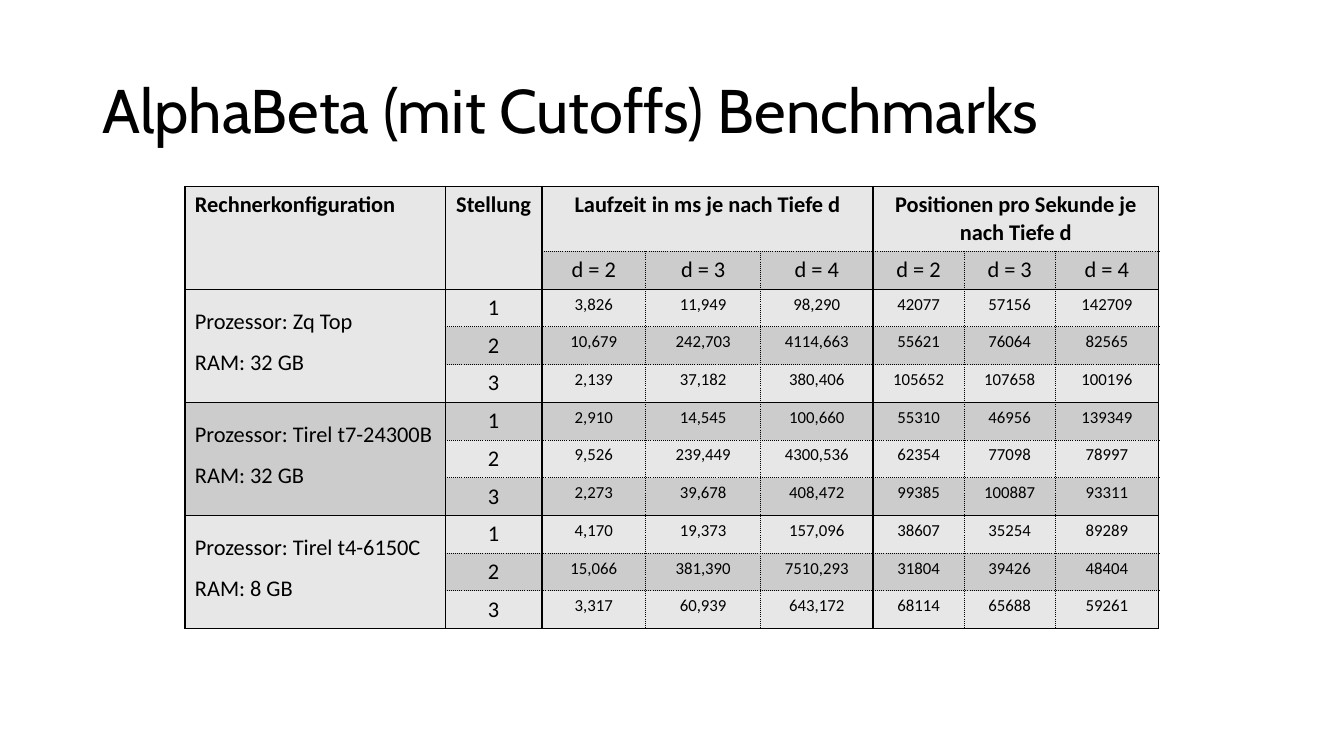
import lxml.etree
import pptx
import pptx.dml.color
import pptx.enum.text
import pptx.oxml.ns
import pptx.util

Cm = pptx.util.Cm
ALIGN = pptx.enum.text.PP_ALIGN

BLACK, LIGHT, DARK = "000000", "E7E7E7", "CCCCCC"
COLUMN_WIDTHS = [6.56, 2.44, 2.61, 2.9, 2.83, 2.3, 2.29, 2.61]
HEADER_HEIGHT, ROW_HEIGHT = 1.63, 0.95
SOLID_COLUMNS = {0, 1, 2, 5, 8}
SOLID_ROWS = {0, 2, 5, 8, 11}
DEPTHS = ["d = 2", "d = 3", "d = 4"]
BENCHMARKS = [
    ("Prozessor: Zq Top\nRAM: 32 GB", [
        ["3,826", "11,949", "98,290", "42077", "57156", "142709"],
        ["10,679", "242,703", "4114,663", "55621", "76064", "82565"],
        ["2,139", "37,182", "380,406", "105652", "107658", "100196"],
    ]),
    ("Prozessor: Tirel t7-24300B\nRAM: 32 GB", [
        ["2,910", "14,545", "100,660", "55310", "46956", "139349"],
        ["9,526", "239,449", "4300,536", "62354", "77098", "78997"],
        ["2,273", "39,678", "408,472", "99385", "100887", "93311"],
    ]),
    ("Prozessor: Tirel t4-6150C\nRAM: 8 GB", [
        ["4,170", "19,373", "157,096", "38607", "35254", "89289"],
        ["15,066", "381,390", "7510,293", "31804", "39426", "48404"],
        ["3,317", "60,939", "643,172", "68114", "65688", "59261"],
    ]),
]


def color(value):
    return pptx.dml.color.RGBColor.from_string(value)


def write(frame, text, size=16, font="Calibri", bold=False, align=ALIGN.CENTER, spacing=1.0):
    """Fill a text frame, one paragraph for each line of the text."""
    frame.text = text
    for para in frame.paragraphs:
        para.alignment = align
        para.line_spacing = spacing
        for span in para.runs:
            span.font.size = pptx.util.Pt(size)
            span.font.name = font
            span.font.bold = bold
            span.font.color.rgb = color(BLACK)


def add_border(cell, position, side, solid):
    line = lxml.etree.Element(pptx.oxml.ns.qn(f"a:ln{side}"), w=str(pptx.util.Pt(1 if solid else 0.5)))
    fill = lxml.etree.SubElement(line, pptx.oxml.ns.qn("a:solidFill"))
    lxml.etree.SubElement(fill, pptx.oxml.ns.qn("a:srgbClr"), val=BLACK)
    lxml.etree.SubElement(line, pptx.oxml.ns.qn("a:prstDash"), val="solid" if solid else "sysDot")
    cell._tc.get_or_add_tcPr().insert(position, line)


def style_cells(table):
    """Stripe the rows; rule groups with solid lines and the cells in them with dots."""
    for row in range(len(table.rows)):
        for column in range(len(table.columns)):
            cell = table.cell(row, column)
            cell.fill.solid()
            cell.fill.fore_color.rgb = color(DARK if row % 2 else LIGHT)
            right, bottom = column + cell.span_width, row + cell.span_height
            edges = [
                ("L", column in SOLID_COLUMNS),
                ("R", right in SOLID_COLUMNS),
                ("T", row in SOLID_ROWS),
                ("B", bottom in SOLID_ROWS),
            ]
            for position, (side, solid) in enumerate(edges):
                add_border(cell, position, side, solid)


def fill_header(table):
    for column, heading, align in [(0, "Rechnerkonfiguration", ALIGN.LEFT), (1, "Stellung", ALIGN.CENTER)]:
        table.cell(0, column).merge(table.cell(1, column))
        write(table.cell(0, column).text_frame, heading, bold=True, align=align)
    for column, heading in [(2, "Laufzeit in ms je nach Tiefe d"), (5, "Positionen pro Sekunde je nach Tiefe d")]:
        table.cell(0, column).merge(table.cell(0, column + 2))
        write(table.cell(0, column).text_frame, heading, bold=True)
        for offset, depth in enumerate(DEPTHS):
            write(table.cell(1, column + offset).text_frame, depth)


def fill_benchmarks(table):
    for block, (machine, results) in enumerate(BENCHMARKS):
        top = 2 + block * len(results)
        table.cell(top, 0).merge(table.cell(top + len(results) - 1, 0))
        write(table.cell(top, 0).text_frame, machine, align=ALIGN.LEFT, spacing=1.5)
        for offset, values in enumerate(results):
            write(table.cell(top + offset, 1).text_frame, str(offset + 1))
            for column, value in enumerate(values, start=2):
                write(table.cell(top + offset, column).text_frame, value, size=12)


def add_benchmark_table(page, left, top):
    heights = [HEADER_HEIGHT] + [ROW_HEIGHT] * 10
    box = page.shapes.add_table(
        len(heights), len(COLUMN_WIDTHS), Cm(left), Cm(top), Cm(sum(COLUMN_WIDTHS)), Cm(sum(heights)))
    table = box.table
    table.first_row = table.horz_banding = False
    for column, width in zip(table.columns, COLUMN_WIDTHS):
        column.width = Cm(width)
    for row, height in zip(table.rows, heights):
        row.height = Cm(height)
    fill_header(table)
    fill_benchmarks(table)
    style_cells(table)


def place_title(page, text, left, top, width, height):
    title = page.shapes.title
    title.left, title.top, title.width, title.height = Cm(left), Cm(top), Cm(width), Cm(height)
    frame = title.text_frame
    frame.word_wrap = True
    frame.auto_size = pptx.enum.text.MSO_AUTO_SIZE.NONE
    frame.vertical_anchor = pptx.enum.text.MSO_ANCHOR.MIDDLE
    write(frame, text, size=44, font="Cabin", align=ALIGN.LEFT, spacing=0.9)


def main():
    deck = pptx.Presentation()
    deck.slide_width, deck.slide_height = Cm(33.87), Cm(19.05)
    page = deck.slides.add_slide(deck.slide_layouts.get_by_name("Title Only"))
    place_title(page, "AlphaBeta (mit Cutoffs) Benchmarks", 2.33, 1.02, 29.21, 3.68)
    add_benchmark_table(page, 4.66, 4.7)
    deck.save("out.pptx")


if __name__ == "__main__":
    main()
